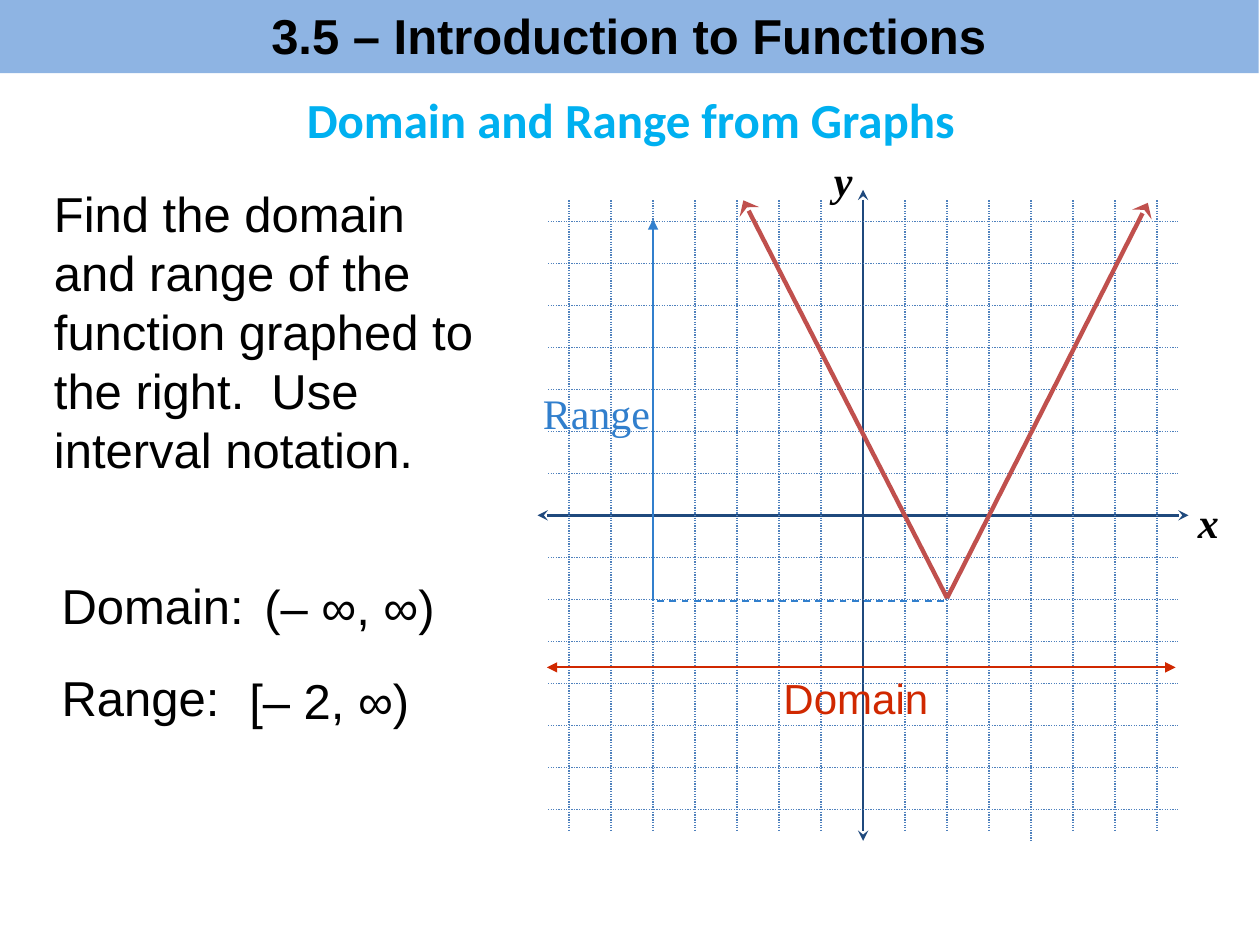
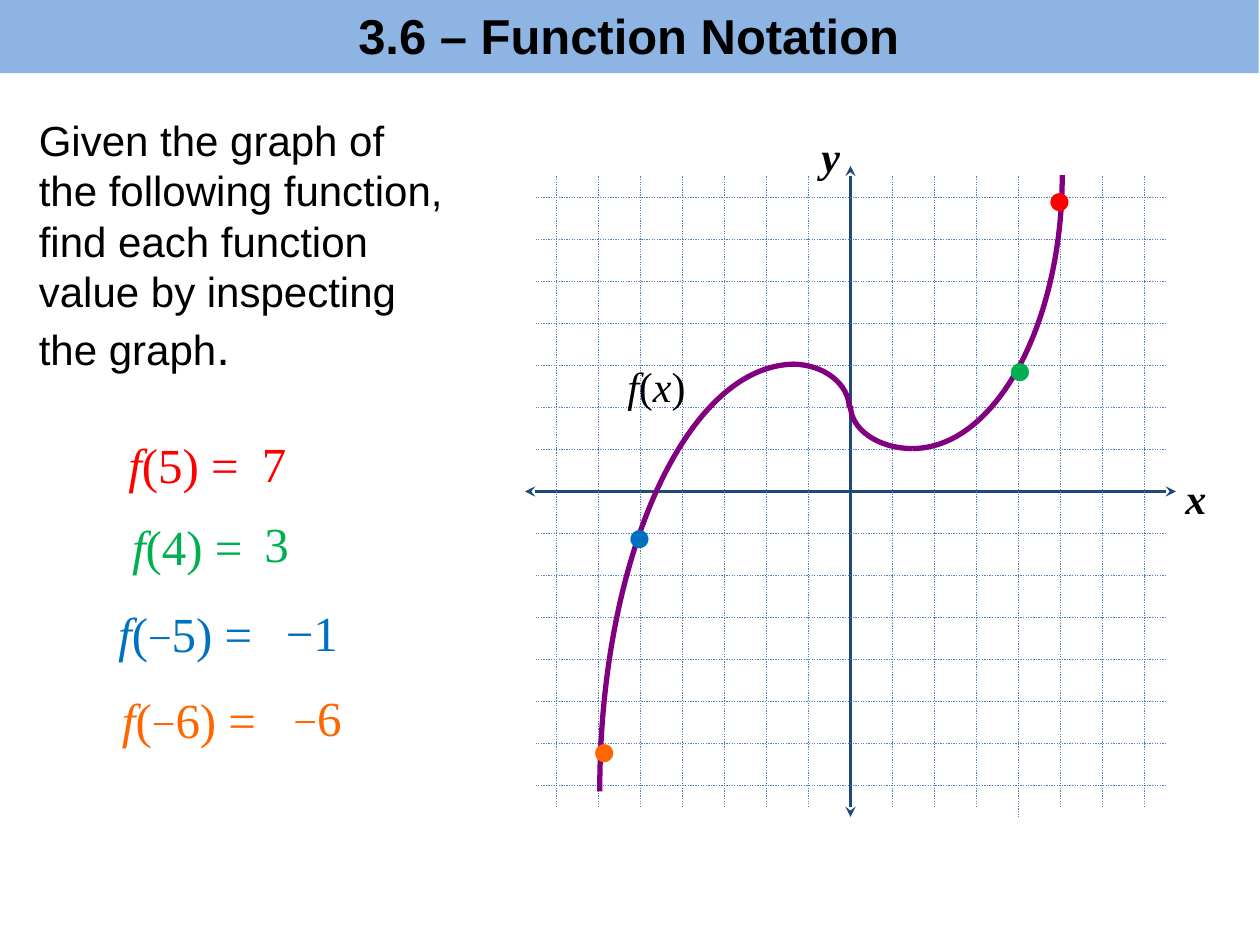
from lxml import etree
from pptx import Presentation
from pptx import util as u
from pptx.dml.color import RGBColor
from pptx.enum import dml, text
from pptx.oxml import ns

COLORS = {
    "band": "8EB4E3", "ink": "000000", "heading": "00B0F0", "axis": "1F497D",
    "grid": "4F81BD", "vee": "C0504D", "domain": "D02800", "range": "317FCD",
    "curve": "800080", "red": "FF0000", "green": "00B050", "blue": "0070C0",
    "orange": "FF6600",
}
SANS, SERIF = "Arial", "Times New Roman"
CELL = 1 / 3
GRID_REACH, AXIS_REACH = 7.5, 7.75
ARC_PULL = 0.55
ITALIC = {"italic": True}
SMALL = {"size": 24}


def rgb(name):
    """Look up a palette colour."""
    return RGBColor.from_string(COLORS[name])


def style(font, color="ink", **values):
    """Apply format values to a font."""
    font.color.rgb = rgb(color)
    for key, value in values.items():
        setattr(font, key, u.Pt(value) if key == "size" else value)


def write(frame, runs, align=None, **base):
    """Fill a frame's first paragraph with (text, changes) runs."""
    paragraph = frame.paragraphs[0]
    paragraph.alignment = align
    for words, changes in runs:
        run = paragraph.add_run()
        run.text = words
        style(run.font, **{**base, **changes})


def label(slide, box, words, wrap=True, **base):
    """Add a text box holding a string or a list of runs."""
    frame = slide.shapes.add_textbox(*map(u.Inches, box)).text_frame
    frame.word_wrap = wrap
    runs = [(words, {})] if isinstance(words, str) else words
    write(frame, runs, **base)


def add_slide(prs, heading):
    """Add a slide with its heading in a full-width band."""
    slide = prs.slides.add_slide(prs.slide_layouts[5])
    band = slide.shapes.title
    band.left, band.top = u.Inches(-0.01), 0
    band.width, band.height = prs.slide_width, u.Inches(0.58)
    band.fill.solid()
    band.fill.fore_color.rgb = rgb("band")
    band.text_frame.vertical_anchor = text.MSO_ANCHOR.MIDDLE
    band.text_frame.margin_bottom = u.Inches(0.07)
    write(band.text_frame, [(heading, {})], text.PP_ALIGN.CENTER,
          name=SANS, size=28, bold=True)
    return slide


def place(origin, x, y):
    """Turn graph units into slide inches."""
    return origin[0] + x * CELL, origin[1] - y * CELL


def segment(slide, origin, start, end, color, width, dash=None, head=None, tail=None,
            spread="med"):
    """Draw a line between two points given in graph units."""
    ends = [u.Inches(v) for point in (start, end) for v in place(origin, *point)]
    line = slide.shapes.add_connector(1, *ends)
    line.line.color.rgb = rgb(color)
    line.line.width = u.Pt(width)
    if dash:
        line.line.dash_style = dash
    properties = line.line._get_or_add_ln()
    for tag, arrow in (("a:headEnd", head), ("a:tailEnd", tail)):
        if arrow:
            etree.SubElement(properties, ns.qn(tag), type=arrow, w=spread, len="med")
    etree.SubElement(line._element.spPr, ns.qn("a:effectLst"))


def plane(slide, origin):
    """Draw the coordinate plane with its axes and dotted grid."""
    arrows = {"head": "stealth", "tail": "stealth"}
    segment(slide, origin, (0, AXIS_REACH), (0, -AXIS_REACH), "axis", 1.5, **arrows)
    segment(slide, origin, (-AXIS_REACH, 0), (AXIS_REACH, 0), "axis", 1.5, **arrows)
    dotted = ("grid", 0.75, dml.MSO_LINE.ROUND_DOT)
    for step in range(-7, 8):
        if step:
            bottom = AXIS_REACH if step == 4 else GRID_REACH
            segment(slide, origin, (-GRID_REACH, step), (GRID_REACH, step), *dotted)
            segment(slide, origin, (step, GRID_REACH), (step, -bottom), *dotted)
    for name, dx, dy, width in (("x", 2.56, -0.2, 0.37), ("y", -0.33, -2.91, 0.35)):
        label(slide, (origin[0] + dx, origin[1] + dy, width, 0.5), name, wrap=False,
              name=SERIF, size=24, bold=True, italic=True)


def quarter(slide, start, end):
    """Draw a quarter ellipse that leaves its start horizontally."""
    (x0, y0), (x1, y1) = [[u.Inches(v) for v in point] for point in (start, end)]
    builder = slide.shapes.build_freeform(x0, y0)
    builder.add_line_segments([(x1, y1)], close=False)
    arc = builder.convert_to_shape()
    bend = arc._element.find(".//" + ns.qn("a:lnTo"))
    bend.tag = ns.qn("a:cubicBezTo")
    bend.clear()
    for x, y in ((x0 + ARC_PULL * (x1 - x0), y0), (x1, y1 - ARC_PULL * (y1 - y0)), (x1, y1)):
        etree.SubElement(bend, ns.qn("a:pt"), x=str(round(x - min(x0, x1))),
                         y=str(round(y - min(y0, y1))))
    arc.fill.background()
    arc.line.color.rgb = rgb("curve")
    arc.line.width = u.Pt(3)
    arc.shadow.inherit = False


def dot(slide, origin, point, color):
    """Mark a point of the graph."""
    x, y = place(origin, *point)
    label(slide, (x - 0.2, y - 0.28, 0.42, 0.4), "●", name=SERIF, color=color, size=24)


def domain_and_range(prs):
    """Build the slide on reading domain and range from a graph."""
    slide = add_slide(prs, "3.5 – Introduction to Functions")
    origin = (6.85, 4.09)
    plane(slide, origin)
    for tip in ((6.78, 7.44), (-2.85, 7.5)):
        segment(slide, origin, (2, -1.97), tip, "vee", 2.5, tail="stealth", spread="lg")
    segment(slide, origin, (-7.53, -3.62), (7.44, -3.62), "domain", 1,
            head="triangle", tail="triangle")
    segment(slide, origin, (1.92, -2.04), (-4.95, -2.04), "range", 1, dml.MSO_LINE.DASH)
    segment(slide, origin, (-5, -2.04), (-5, 7.05), "range", 1, tail="triangle")
    label(slide, (6.12, 5.29, 1.47, 0.51), "Domain", name=SANS, color="domain", size=24)
    label(slide, (4.21, 3.03, 1.11, 0.5), "Range", name=SERIF, color="range", size=24)
    question = ("Find the domain and range of the function graphed to the right.  "
                "Use interval notation.")
    for box, words in (
        ((0.33, 1.41, 3.71, 2.46), question),
        ((0.39, 4.52, 1.73, 0.57), "Domain:"),
        ((2, 4.53, 1.67, 0.57), "(– ∞, ∞)"),
        ((0.39, 5.25, 1.52, 0.57), "Range:"),
        ((1.88, 5.27, 1.59, 0.57), "[– 2, ∞)"),
    ):
        label(slide, box, words, name=SANS, size=28)
    label(slide, (0.01, 0.66, 9.99, 0.57), "Domain and Range from Graphs",
          align=text.PP_ALIGN.CENTER, name="Calibri", color="heading", size=28, bold=True)


def function_notation(prs):
    """Build the slide on reading function values from a graph."""
    slide = add_slide(prs, "3.6 – Function Notation")
    origin = (6.75, 3.9)
    question = ("Given the graph of the following function, find each function "
                "value by inspecting the graph")
    label(slide, (0.21, 0.86, 3.48, 2.19), [(question, SMALL), (".", {})],
          name=SANS, size=28)
    plane(slide, origin)
    for start, end in (
        ((7.24, 3.56), (8.43, 1.39)),
        ((7.24, 3.56), (6.75, 3.22)),
        ((6.29, 2.89), (6.74, 3.24)),
        ((6.31, 2.89), (4.76, 6.28)),
    ):
        quarter(slide, start, end)
    label(slide, (4.88, 2.81, 0.69, 0.5),
          [("f", ITALIC), ("(", {}), ("x", ITALIC), (")", {})], name=SERIF, size=24)
    minus = ("−", SMALL)
    for color, box, argument, answer_box, answer, point in (
        ("red", (0.92, 3.4, 1.16), [("(5) =", {})], (1.98, 3.39, 0.47), "7", (4.98, 6.9)),
        ("green", (0.95, 4.05, 1.16), [("(4) =", {})], (2, 4.03, 0.47), "3", (4.04, 2.85)),
        ("blue", (0.84, 4.74, 1.46), [("(", {}), minus, ("5) =", {})],
         (2.17, 4.73, 0.67), "−1", (-5.02, -1.12)),
        ("orange", (0.87, 5.42, 1.5), [("(", {}), minus, ("6) =", {})],
         (2.23, 5.41, 0.69), [minus, ("6", {})], (-5.86, -6.22)),
    ):
        look = {"name": SERIF, "color": color, "size": 28}
        label(slide, (*box, 0.57), [("f", ITALIC), *argument], **look)
        label(slide, (*answer_box, 0.57), answer, **look)
        dot(slide, origin, point, color)


def main():
    """Build and save the presentation."""
    prs = Presentation()
    prs.slide_width, prs.slide_height = u.Inches(10), u.Inches(7.5)
    domain_and_range(prs)
    function_notation(prs)
    prs.save("out.pptx")


if __name__ == "__main__":
    main()
